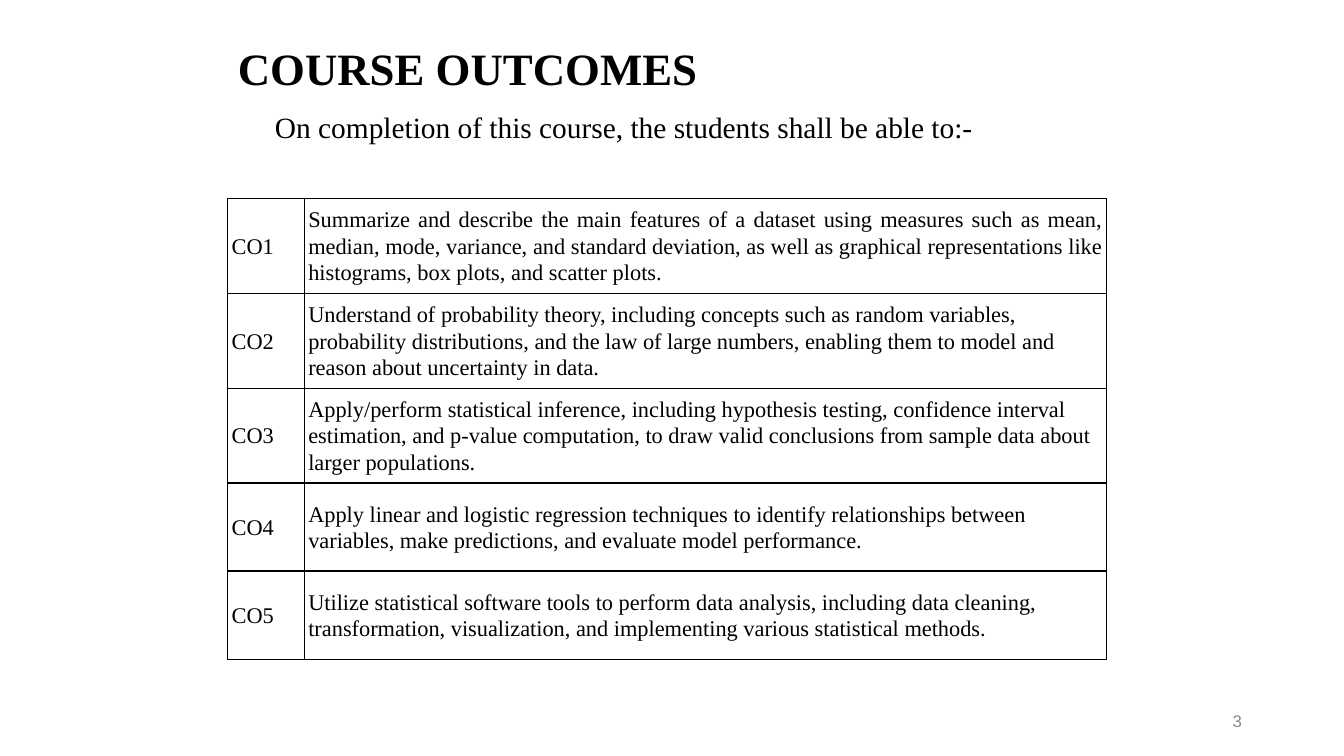
from lxml import etree
from pptx import Presentation
from pptx import util as u
from pptx.dml.color import RGBColor
from pptx.enum import text
from pptx.oxml import ns

BLACK = RGBColor(0x00, 0x00, 0x00)
GRAY = RGBColor(0x89, 0x89, 0x89)
SERIF = "Times New Roman"
SANS = "Arial"

OUTCOMES = [
    "Summarize and describe the main features of a dataset using measures such as mean, "
    "median, mode, variance, and standard deviation, as well as graphical representations "
    "like histograms, box plots, and scatter plots.",
    "Understand of probability theory, including concepts such as random variables, "
    "probability distributions, and the law of large numbers, enabling them to model and "
    "reason about uncertainty in data.",
    "Apply/perform statistical inference, including hypothesis testing, confidence interval "
    "estimation, and p-value computation, to draw valid conclusions from sample data about "
    "larger populations.",
    "Apply linear and logistic regression techniques to identify relationships between "
    "variables, make predictions, and evaluate model performance.",
    "Utilize statistical software tools to perform data analysis, including data cleaning, "
    "transformation, visualization, and implementing various statistical methods.",
]
COLUMN_WIDTHS = [1.93, 20.22]
ROW_HEIGHTS = [2.39] * 3 + [2.22] * 2


class SlideBuilder:
    def __init__(self, slide):
        self.slide = slide

    def set_text(self, frame, words, size, font=SERIF, color=BLACK, bold=False,
                 align=text.PP_ALIGN.LEFT):
        frame.text = words
        para = frame.paragraphs[0]
        para.alignment = align
        para.font.name = font
        para.font.size = u.Pt(size)
        para.font.bold = bold
        para.font.color.rgb = color
        return para

    def title(self, words, left, top, width, height):
        box = self.slide.shapes.title
        box.left, box.top = u.Cm(left), u.Cm(top)
        box.width, box.height = u.Cm(width), u.Cm(height)
        frame = box.text_frame
        para = self.set_text(frame, words, 32, bold=True)
        para.line_spacing = 0.9
        frame.vertical_anchor = text.MSO_ANCHOR.BOTTOM
        frame.auto_size = text.MSO_AUTO_SIZE.SHAPE_TO_FIT_TEXT

    def label(self, words, size, *area, wrap=True, anchor=text.MSO_ANCHOR.TOP, **style):
        box = self.slide.shapes.add_textbox(*map(u.Cm, area))
        frame = box.text_frame
        frame.word_wrap = wrap
        frame.vertical_anchor = anchor
        self.set_text(frame, words, size, **style)

    def border(self, cell):
        properties = cell._tc.get_or_add_tcPr()
        for position, side in enumerate(("lnL", "lnR", "lnT", "lnB")):
            line = etree.Element(ns.qn(f"a:{side}"), w=str(u.Pt(1)))
            fill = etree.SubElement(line, ns.qn("a:solidFill"))
            etree.SubElement(fill, ns.qn("a:srgbClr"), val=str(BLACK))
            properties.insert(position, line)

    def cell(self, cell, words, align=text.PP_ALIGN.LEFT, space_after=0):
        cell.fill.background()
        cell.vertical_anchor = text.MSO_ANCHOR.MIDDLE
        cell.margin_left = cell.margin_right = u.Cm(0.1)
        cell.margin_top = cell.margin_bottom = u.Cm(0.1)
        para = self.set_text(cell.text_frame, words, 16, align=align)
        para.line_spacing = 1.07
        para.space_after = u.Pt(space_after)
        self.border(cell)

    def outcome_table(self, outcomes, left, top):
        frame = self.slide.shapes.add_table(
            len(outcomes), len(COLUMN_WIDTHS), u.Cm(left), u.Cm(top),
            u.Cm(sum(COLUMN_WIDTHS)), u.Cm(sum(ROW_HEIGHTS)))
        table = frame.table
        table.first_row = table.horz_banding = False
        for column, width in zip(table.columns, COLUMN_WIDTHS):
            column.width = u.Cm(width)
        for index, (outcome, height) in enumerate(zip(outcomes, ROW_HEIGHTS)):
            table.rows[index].height = u.Cm(height)
            self.cell(table.cell(index, 0), f"CO{index + 1}")
            if index == 0:
                self.cell(table.cell(index, 1), outcome, align=text.PP_ALIGN.JUSTIFY)
            else:
                self.cell(table.cell(index, 1), outcome, space_after=8)


def main():
    deck = Presentation()
    deck.slide_width, deck.slide_height = u.Cm(33.87), u.Cm(19.05)
    page = SlideBuilder(deck.slides.add_slide(deck.slide_layouts[5]))
    page.title("COURSE OUTCOMES", 5.74, 1.02, 16.03, 1.5)
    page.label("3", 12, 23.93, 17.65, 7.62, 1.02, anchor=text.MSO_ANCHOR.MIDDLE,
               font=SANS, color=GRAY, align=text.PP_ALIGN.RIGHT)
    page.label("On completion of this course, the students shall be able to:-", 21,
               6.68, 2.62, 18.31, 1.14, wrap=False)
    page.outcome_table(OUTCOMES, 5.74, 5)
    deck.save("out.pptx")


if __name__ == "__main__":
    main()
